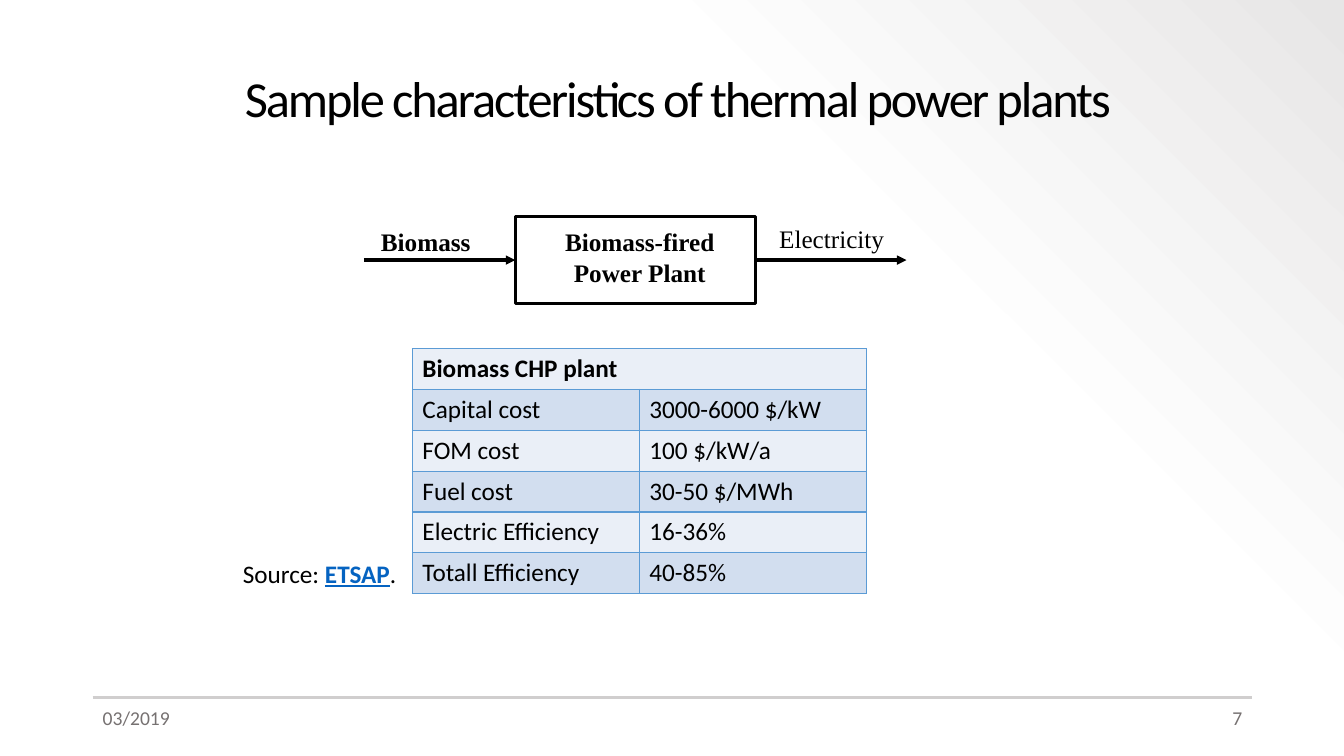
from lxml import etree
from pptx import Presentation
from pptx.dml.color import RGBColor
from pptx.enum.shapes import MSO_CONNECTOR as Connector, MSO_SHAPE as Shape
from pptx.enum.text import MSO_ANCHOR as Anchor, MSO_AUTO_SIZE as AutoSize, PP_ALIGN as Align
from pptx.oxml import parse_xml
from pptx.oxml.ns import nsdecls, qn
from pptx.util import Inches, Pt

# Content
TITLE = "Sample characteristics of thermal power plants"
DATE, NUMBER = "03/2019", "7"
INPUT, PLANT, OUTPUT = "Biomass", "Biomass-fired Power Plant", "Electricity"
TABLE_HEAD = "Biomass CHP plant"
TABLE_ROWS = [
    ("Capital cost", "3000-6000 $/kW"),
    ("FOM cost", "100 $/kW/a"),
    ("Fuel cost", "30-50 $/MWh"),
    ("Electric Efficiency", "16-36%"),
    ("Totall Efficiency", "40-85%"),
]
SOURCE = ("Source: ", "ETSAP", ".")

COLORS = {
    "text": "000000", "footer": "767171", "rule": "D0CECE", "link": "0563C1",
    "border": "5B9BD5", "light": "EAEFF7", "dark": "D2DEEF",
}
BACKGROUND_STOPS = [(0, "FFFFFF", 100), (69, "FDFDFD", 100), (100, "E7E6E6", 50)]
SANS, SERIF = "Calibri", "Times New Roman"

# Layout in inches
WIDTH, HEIGHT = 13.33, 7.5
MARGIN, RULE_Y, FOOTER_Y, FOOTER_WIDTH = 0.92, 6.92, 6.95, 1.3
RIGHT = WIDTH - 0.91
LINE_HEIGHT = 0.4
BOX_LEFT, BOX_TOP, BOX_WIDTH, BOX_HEIGHT = 5.11, 2.15, 2.38, 0.86
ARROW_LENGTH = 1.5
TABLE_LEFT, TABLE_TOP, COLUMN, ROW = 4.09, 3.46, 2.25, 0.405


def color(name):
    return RGBColor.from_string(COLORS[name])


def style(run, size=18, font=SANS, ink="text", bold=False):
    run.font.size, run.font.name, run.font.bold = Pt(size), font, bold
    run.font.color.rgb = color(ink)


def add_text(slide, left, top, width, height, texts, align=Align.LEFT,
             wrap=True, grow=False, **look):
    box = slide.shapes.add_textbox(*map(Inches, (left, top, width, height)))
    frame = box.text_frame
    frame.word_wrap = wrap
    frame.auto_size = AutoSize.SHAPE_TO_FIT_TEXT if grow else AutoSize.NONE
    paragraph = frame.paragraphs[0]
    paragraph.alignment = align
    for text in texts:
        run = paragraph.add_run()
        run.text = text
        style(run, **look)
    return frame


def add_line(slide, x1, y1, x2, y2, ink, weight, arrow=False):
    line = slide.shapes.add_connector(Connector.STRAIGHT, *map(Inches, (x1, y1, x2, y2)))
    line.line.color.rgb = color(ink)
    line.line.width = Pt(weight)
    if arrow:
        etree.SubElement(line.line._get_or_add_ln(), qn("a:tailEnd"), type="triangle")
    etree.SubElement(line._element.spPr, qn("a:effectLst"))
    return line


def set_background(slide):
    fill = slide.background.fill
    fill.gradient()
    fill.gradient_angle = 45
    stops = slide.element.find(".//" + qn("a:gsLst"))
    for stop in list(stops):
        stops.remove(stop)
    for position, tone, alpha in BACKGROUND_STOPS:
        stops.append(parse_xml(
            f'<a:gs {nsdecls("a")} pos="{position * 1000}"><a:srgbClr val="{tone}">'
            f'<a:alpha val="{alpha * 1000}"/></a:srgbClr></a:gs>'))


def add_footer(slide):
    add_line(slide, MARGIN, RULE_Y, RIGHT, RULE_Y, "rule", 1.5)
    for text, left, align in ((DATE, MARGIN, Align.LEFT),
                              (NUMBER, RIGHT - FOOTER_WIDTH, Align.RIGHT)):
        add_text(slide, left, FOOTER_Y, FOOTER_WIDTH, LINE_HEIGHT, [text], align,
                 size=14, ink="footer")


def add_title(slide):
    frame = add_text(slide, 2.33, 0.4, 10.08, 1.2, [TITLE], size=36)
    frame.vertical_anchor = Anchor.MIDDLE
    paragraph = frame.paragraphs[0]
    paragraph.line_spacing = 0.9
    paragraph.runs[0].font._element.set("spc", "-150")


def add_diagram(slide):
    plant = slide.shapes.add_shape(
        Shape.RECTANGLE, *map(Inches, (BOX_LEFT, BOX_TOP, BOX_WIDTH, BOX_HEIGHT)))
    plant.shadow.inherit = False
    plant.fill.background()
    plant.line.color.rgb = color("text")
    plant.line.width = Pt(2.25)

    middle, box_right = BOX_TOP + BOX_HEIGHT / 2, BOX_LEFT + BOX_WIDTH
    feed = add_line(slide, BOX_LEFT - ARROW_LENGTH, middle, BOX_LEFT, middle,
                    "text", 2.25, arrow=True)
    feed.end_connect(plant, 1)
    power = add_line(slide, box_right, middle, box_right + ARROW_LENGTH, middle,
                     "text", 2.25, arrow=True)
    power.begin_connect(plant, 3)

    add_text(slide, 3.68, 2.2, 1.1, LINE_HEIGHT, [INPUT], wrap=False, grow=True,
             font=SERIF, bold=True)
    add_text(slide, 5.2, 2.2, 2.29, 0.71, [PLANT], Align.CENTER, grow=True,
             font=SERIF, bold=True)
    add_text(slide, 7.63, 2.17, 1.25, LINE_HEIGHT, [OUTPUT], wrap=False, grow=True,
             font=SERIF)


def add_borders(cell):
    properties = cell._tc.get_or_add_tcPr()
    for index, side in enumerate(("lnL", "lnR", "lnT", "lnB")):
        properties.insert(index, parse_xml(
            f'<a:{side} {nsdecls("a")} w="12700"><a:solidFill>'
            f'<a:srgbClr val="{COLORS["border"]}"/></a:solidFill></a:{side}>'))


def add_cost_table(slide):
    rows = [(TABLE_HEAD, ""), *TABLE_ROWS]
    table = slide.shapes.add_table(
        len(rows), 2, *map(Inches, (TABLE_LEFT, TABLE_TOP, 2 * COLUMN, ROW * len(rows)))).table
    table.first_row = table.horz_banding = False
    table.cell(0, 0).merge(table.cell(0, 1))
    for row_index, row in enumerate(rows):
        table.rows[row_index].height = Inches(ROW)
        for column_index, text in enumerate(row):
            cell = table.cell(row_index, column_index)
            cell.fill.solid()
            cell.fill.fore_color.rgb = color("dark" if row_index % 2 else "light")
            add_borders(cell)
            if text:
                cell.text_frame.text = text
                style(cell.text_frame.paragraphs[0].runs[0], bold=row_index == 0)


def add_source(slide):
    frame = add_text(slide, 2.31, 5.49, 1.78, LINE_HEIGHT, SOURCE, grow=True)
    link = frame.paragraphs[0].runs[1]
    style(link, ink="link", bold=True)
    link.font.underline = True


def main():
    presentation = Presentation()
    presentation.slide_width, presentation.slide_height = Inches(WIDTH), Inches(HEIGHT)
    slide = presentation.slides.add_slide(presentation.slide_layouts[6])
    set_background(slide)
    add_footer(slide)
    add_diagram(slide)
    add_cost_table(slide)
    add_source(slide)
    add_title(slide)
    presentation.save("out.pptx")


if __name__ == "__main__":
    main()
